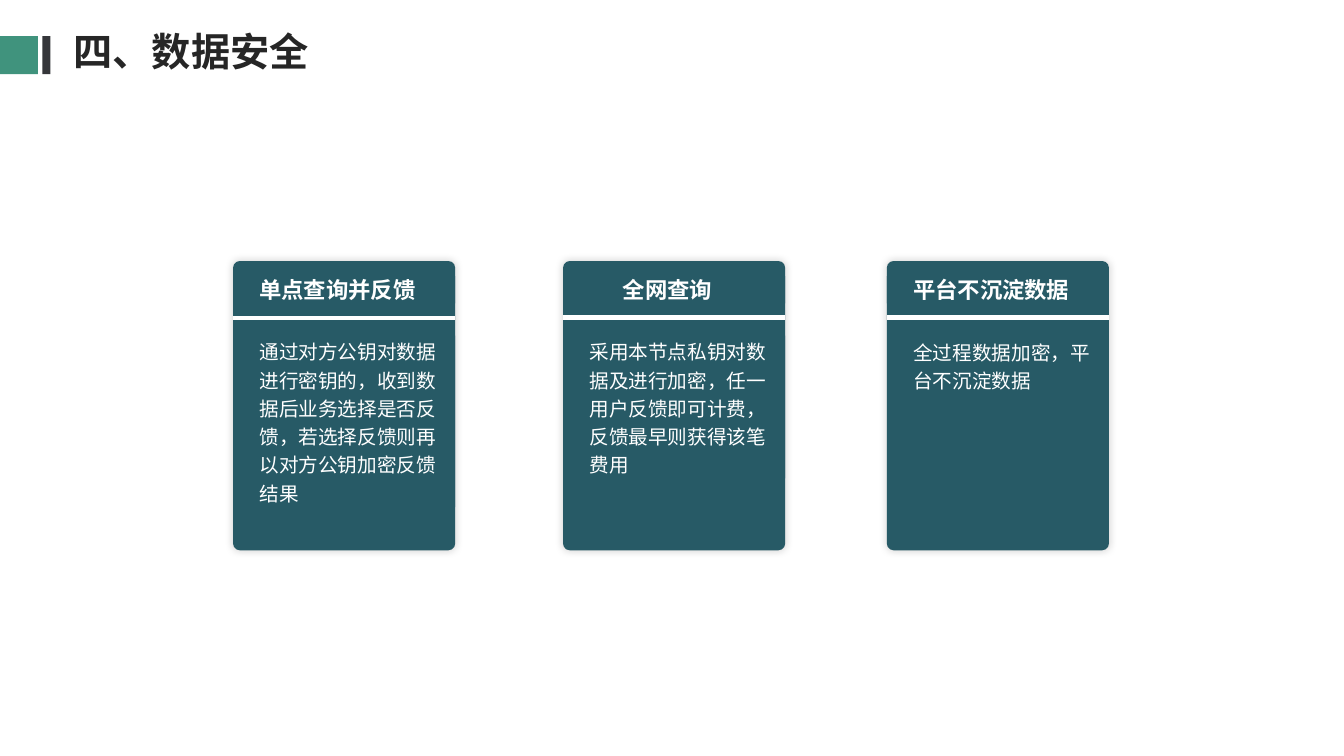
from pptx import Presentation
from pptx.dml.color import RGBColor as Rgb
from pptx.enum.shapes import MSO_CONNECTOR as Link, MSO_SHAPE as Kind
from pptx.enum.text import MSO_ANCHOR as Anchor, PP_ALIGN as Align
from pptx.oxml import parse_xml
from pptx.oxml.ns import nsdecls
from pptx.util import Pt

HUES = {"green": "40937D", "dark": "35363A", "ink": "262626",
        "teal": "275A66", "white": "FFFFFF"}
CJK = "Noto Sans CJK SC"
CARDS = [
    (166.5, 227.4, "单点查询并反馈",
     "通过对方公钥对数据进行密钥的，收到数据后业务选择是否反馈，若选择反馈则再以对方公钥加密反馈结果", 6),
    (402.2, 226.8, "全网查询",
     "采用本节点私钥对数据及进行加密，任一用户反馈即可计费，反馈最早则获得该笔费用", 5),
    (633.5, 226.8, "平台不沉淀数据",
     "全过程数据加密，平台不沉淀数据", 2),
]
WIDE, TALL, ROW = 158.6, 206.6, 20.4


def hue(name):
    return Rgb.from_string(HUES[name])


def write(shape, text, size=14, font="Calibri", color="white", bold=False,
          align=Align.LEFT, space=1.0, pads=(7.2, 3.6, 7.2, 3.6), anchor=Anchor.TOP):
    frame = shape.text_frame
    frame.word_wrap = True
    frame.vertical_anchor = anchor
    (frame.margin_left, frame.margin_top,
     frame.margin_right, frame.margin_bottom) = map(Pt, pads)
    para = frame.paragraphs[0]
    para.alignment = align
    para.line_spacing = space
    run = para.add_run()
    run.text = text
    run.font.size = Pt(size)
    run.font.bold = bold
    run.font.color.rgb = hue(color)
    run.font.name = font
    run.font._element.append(
        parse_xml(f'<a:ea {nsdecls("a")} typeface="{CJK}"/>'))


class Deck:
    def __init__(self):
        self.show = Presentation()
        self.show.slide_width, self.show.slide_height = Pt(960), Pt(540)
        self.slide = self.show.slides.add_slide(self.show.slide_layouts[6])
        self.items = self.slide.shapes

    def box(self, x, y, w, h, color, kind=Kind.RECTANGLE):
        shape = self.items.add_shape(kind, Pt(x), Pt(y), Pt(w), Pt(h))
        shape.shadow.inherit = False
        shape.fill.solid()
        shape.fill.fore_color.rgb = hue(color)
        shape.line.fill.background()
        return shape

    def panel(self, x, y, w, h, color):
        shape = self.box(x, y, w, h, color, Kind.ROUNDED_RECTANGLE)
        shape.adjustments[0] = 0.03
        glow = shape._element.spPr.find(
            "{http://schemas.openxmlformats.org/drawingml/2006/main}effectLst")
        glow.append(parse_xml(
            f'<a:outerShdw {nsdecls("a")} blurRad="{Pt(6)}" dist="0" dir="13500000" '
            'algn="ctr" rotWithShape="0"><a:srgbClr val="000000">'
            '<a:alpha val="20000"/></a:srgbClr></a:outerShdw>'))

    def rule(self, x, y, w, color):
        line = self.items.add_connector(
            Link.STRAIGHT, Pt(x), Pt(y), Pt(x + w), Pt(y))
        line.line.color.rgb = hue(color)
        line.line.width = Pt(3)
        line._element.spPr.append(parse_xml(f'<a:effectLst {nsdecls("a")}/>'))

    def label(self, x, y, w, h, text, **style):
        write(self.items.add_textbox(Pt(x), Pt(y), Pt(w), Pt(h)), text, **style)

    def card(self, x, split, head, body, rows):
        self.panel(x, 186.5, WIDE, TALL, "teal")
        self.rule(x, split, WIDE, "white")
        write(self.box(x, 197.3, WIDE, 19.4, "teal"), head, size=16, bold=True,
              align=Align.CENTER, pads=(0, 0, 9.4, 0), anchor=Anchor.MIDDLE)
        write(self.box(x + 9.4, 239.8, WIDE - 9.4, rows * ROW, "teal"), body,
              space=1.2, pads=(9.4, 0, 9.4, 0))


def main():
    deck = Deck()
    deck.box(0, 25.8, 27, 27.2, "green")
    deck.box(30.2, 25.8, 5.8, 27.2, "dark")
    deck.label(45.6, 15.8, 268.6, 41.2, "四、数据安全",
               size=28, font=CJK, color="ink", bold=True)
    for card in CARDS:
        deck.card(*card)
    deck.show.save("out.pptx")


if __name__ == "__main__":
    main()
